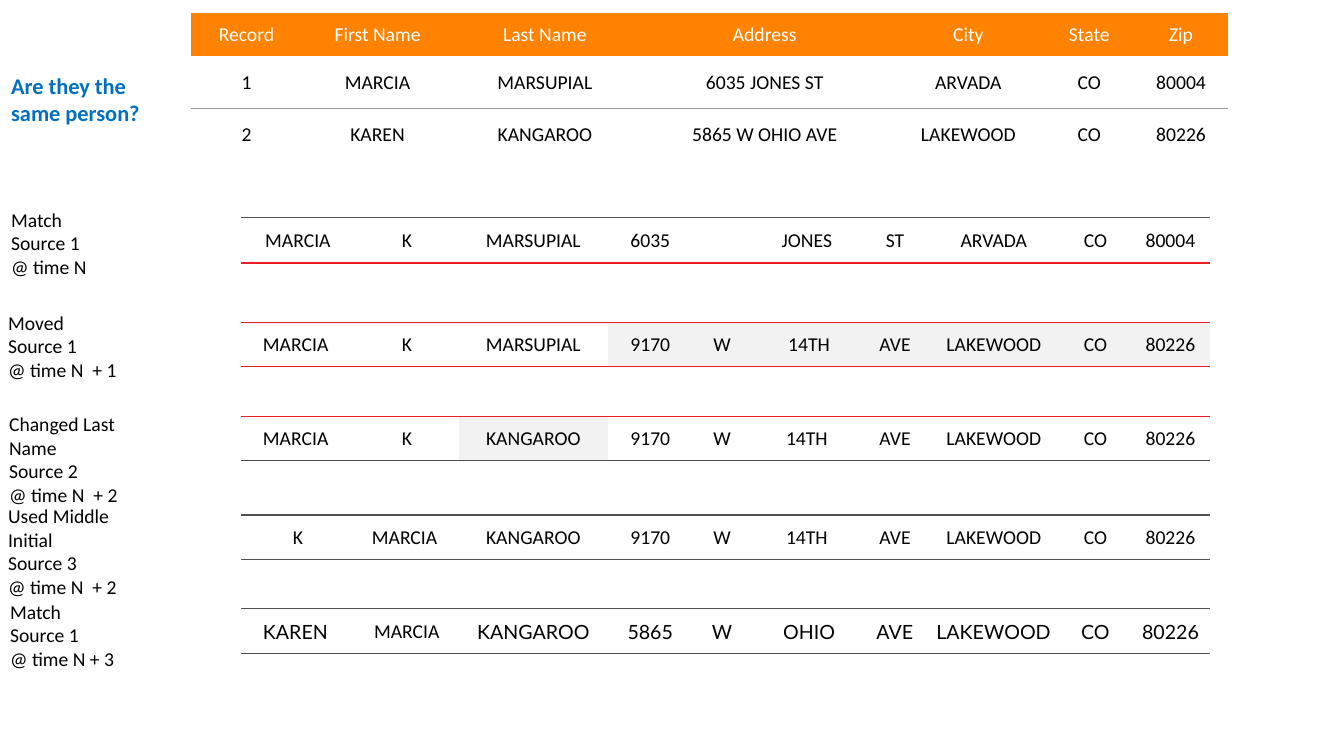
import pptx
import pptx.dml.color
import pptx.enum.text
import pptx.oxml
import pptx.oxml.ns
import pptx.util

Inches = pptx.util.Inches
Pt = pptx.util.Pt
rgb = pptx.dml.color.RGBColor.from_string
ANCHOR = pptx.enum.text.MSO_ANCHOR
ALIGN = pptx.enum.text.PP_ALIGN

ORANGE, RED, GRAY, DARK_GRAY = "FF8200", "ED1C24", "969894", "505050"
BLACK, WHITE, CHANGED = "000000", "FFFFFF", "F2F2F2"
NO_TABLE_STYLE = "{2D5ABB26-0587-4C30-8999-92F81FD0307C}"
TIGHT = {"margin_left": Inches(0.01), "margin_right": Inches(0.01),
         "margin_top": Inches(0.01), "margin_bottom": 0,
         "vertical_anchor": ANCHOR.MIDDLE}
HEADER = {"margin_left": Inches(0.09), "margin_right": Inches(0.09),
          "margin_top": Inches(0.05), "margin_bottom": Inches(0.05),
          "vertical_anchor": ANCHOR.MIDDLE}
ROOMY = {"margin_left": Inches(0.14), "margin_right": Inches(0.14),
         "margin_top": Inches(0.14), "margin_bottom": Inches(0.14),
         "vertical_anchor": ANCHOR.BOTTOM}


def add_plain_table(left, top, widths, heights):
    frame = slide.shapes.add_table(
        len(heights), len(widths), Inches(left), Inches(top),
        Inches(sum(widths)), Inches(sum(heights)))
    table = frame.table
    table.first_row = table.horz_banding = False
    properties = table._tbl.tblPr
    properties.find(pptx.oxml.ns.qn("a:tableStyleId")).text = NO_TABLE_STYLE
    for column, width in zip(table.columns, widths):
        column.width = Inches(width)
    for row, height in zip(table.rows, heights):
        row.height = Inches(height)
    return table


def fill_cell(cell, text, layout, color=BLACK, fill=None, borders=None, font="Calibri"):
    """Write one centred cell; borders maps lnT or lnB to a colour."""
    for name, value in layout.items():
        setattr(cell, name, value)
    for side, border_color in (borders or {}).items():
        cell._tc.get_or_add_tcPr().append(pptx.oxml.parse_xml(
            f'<a:{side} {pptx.oxml.ns.nsdecls("a")} w="12700"><a:solidFill>'
            f'<a:srgbClr val="{border_color}"/></a:solidFill></a:{side}>'))
    if fill:
        cell.fill.solid()
        cell.fill.fore_color.rgb = rgb(fill)
    else:
        cell.fill.background()
    paragraph = cell.text_frame.paragraphs[0]
    paragraph.alignment = ALIGN.CENTER
    paragraph.font.size = Pt(14)
    if text:
        run = paragraph.add_run()
        run.text = text
        run.font.name = font
        run.font.size = Pt(14)
        run.font.color.rgb = rgb(color)


presentation = pptx.Presentation()
presentation.slide_width = Inches(13.33)
presentation.slide_height = Inches(7.5)
slide = presentation.slides.add_slide(presentation.slide_layouts[5])

# Question
question = slide.shapes.title
question.left, question.top = Inches(0.11), Inches(0.72)
question.width, question.height = Inches(1.46), Inches(1)
question_frame = question.text_frame
question_format = {"margin_left": 0, "margin_right": 0, "margin_top": 0,
                   "margin_bottom": 0, "word_wrap": True,
                   "vertical_anchor": ANCHOR.TOP,
                   "auto_size": pptx.enum.text.MSO_AUTO_SIZE.NONE}
for name, value in question_format.items():
    setattr(question_frame, name, value)
question_frame.text = "Are they the same person?"
question_paragraph = question_frame.paragraphs[0]
question_paragraph.alignment = ALIGN.LEFT
for name, value in {"name": "Calibri", "size": Pt(16), "bold": True}.items():
    setattr(question_paragraph.font, name, value)
question_paragraph.font.color.rgb = rgb("0070C0")

# The two records being compared
records = [
    ["Record", "First Name", "Last Name", "Address", "City", "State", "Zip"],
    ["1", "MARCIA", "MARSUPIAL", "6035 JONES ST", "ARVADA", "CO", "80004"],
    ["2", "KAREN", "KANGAROO", "5865 W OHIO AVE", "LAKEWOOD", "CO", "80226"],
]
record_formats = [
    {"layout": HEADER, "color": WHITE, "fill": ORANGE},
    {"layout": ROOMY, "borders": {"lnB": GRAY}},
    {"layout": ROOMY, "borders": {"lnT": GRAY}},
]
record_table = add_plain_table(
    1.89, 0.13, [1.11, 1.49, 1.83, 2.53, 1.51, 0.89, 0.93], [0.43, 0.51, 0.51])
for row, texts, row_format in zip(record_table.rows, records, record_formats):
    for cell, text in zip(row.cells, texts):
        fill_cell(cell, text, **row_format)

# History: label, label left and top, table top and height, line colours,
# changed columns, font, values
history_widths = [1.13, 1.03, 1.48, 0.84, 0.63, 1.05, 0.7, 1.26, 0.71, 0.78]
history = [
    (["Match", "Source 1", "@ time N"], 0.11, 2.06, 2.16, 0.45,
     DARK_GRAY, RED, [], "Calibri",
     ["MARCIA", "K", "MARSUPIAL", "6035", "", "JONES ", "ST ", "ARVADA ", "CO", "80004"]),
    (["Moved", "Source 1", "@ time N  + 1"], 0.08, 3.08, 3.2, 0.44,
     RED, RED, range(3, 10), "Calibri",
     ["MARCIA ", "K", "MARSUPIAL", "9170", "W ", "14TH", "AVE ", "LAKEWOOD ", "CO", "80226"]),
    (["Changed Last Name", "Source 2", "@ time N  + 2"], 0.09, 4.09, 4.13, 0.44,
     RED, DARK_GRAY, [2], "Calibri",
     ["MARCIA ", "K", "KANGAROO", "9170", "W ", "14TH ", "AVE ", "LAKEWOOD ", "CO", "80226"]),
    (["Used Middle Initial", "Source 3", "@ time N  + 2"], 0.08, 5, 5.11, 0.44,
     DARK_GRAY, DARK_GRAY, [], "Calibri",
     ["K", "MARCIA ", "KANGAROO", "9170", "W ", "14TH ", "AVE ", "LAKEWOOD ", "CO", "80226"]),
    (["Match", "Source 1", "@ time N + 3"], 0.1, 5.95, 6.04, 0.44,
     DARK_GRAY, DARK_GRAY, [], "Lato",
     ["KAREN ", "MARCIA", "KANGAROO", "5865", "W ", "OHIO", "AVE ", "LAKEWOOD ", "CO", "80226"]),
]
for (label_lines, label_left, label_top, table_top, height, top_color,
     bottom_color, changed_columns, font, values) in history:
    event_table = add_plain_table(2.39, table_top, history_widths, [height])
    for column, value in enumerate(values):
        fill_cell(event_table.cell(0, column), value, TIGHT,
                  fill=CHANGED if column in changed_columns else None,
                  borders={"lnT": top_color, "lnB": bottom_color},
                  font="Calibri" if value == "MARCIA" else font)

    label = slide.shapes.add_textbox(
        Inches(label_left), Inches(label_top), Inches(1.12), Inches(0.34)).text_frame
    for name in ("margin_left", "margin_right", "margin_top", "margin_bottom"):
        setattr(label, name, 0)
    label.word_wrap = False
    label.text = "\n".join(label_lines)
    for paragraph in label.paragraphs:
        paragraph.font.name = "Calibri"
        paragraph.font.size = Pt(14)
        paragraph.font.color.rgb = rgb(BLACK)

presentation.save("out.pptx")
